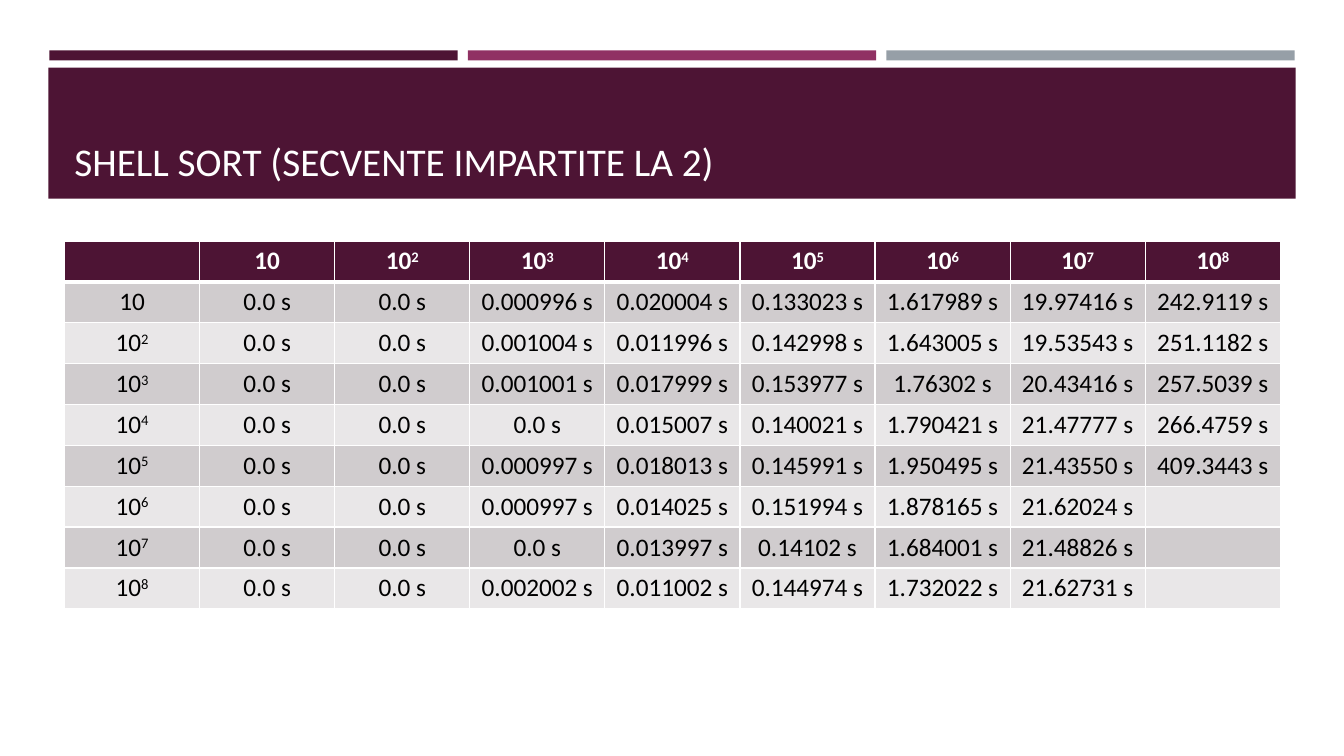
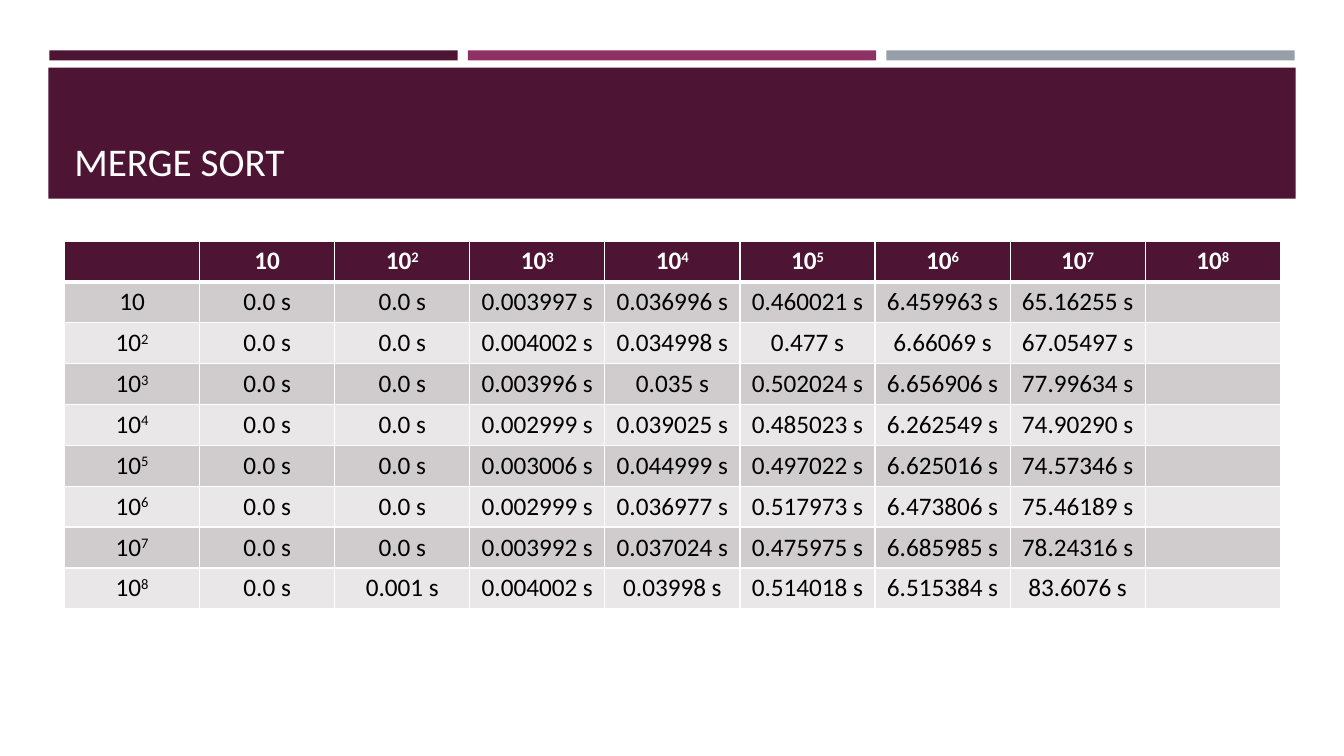
from lxml import etree
from pptx import Presentation
from pptx.dml.color import RGBColor
from pptx.enum.shapes import MSO_SHAPE
from pptx.enum.text import MSO_ANCHOR, PP_ALIGN
from pptx.oxml.ns import qn
from pptx.util import Inches, Pt

RECT = MSO_SHAPE.RECTANGLE
BOTTOM = MSO_ANCHOR.BOTTOM
CENTER = PP_ALIGN.CENTER

FONT = "Calibri"
WHITE, BLACK = "FFFFFF", "000000"
PLUM, MAGENTA, GREY = "4D1434", "903163", "969FA7"
BANDS = ("D0CCCE", "E9E7E8")

# Exponents of ten, used for both the column and the row headings
EXPONENTS = range(1, 9)

# Seconds, one row per row heading; missing trailing values stay blank
SLIDES = [
    ("SHELL SORT (SECVENTE IMPARTITE LA 2)", [
        ("0.0", "0.0", "0.000996", "0.020004", "0.133023", "1.617989", "19.97416", "242.9119"),
        ("0.0", "0.0", "0.001004", "0.011996", "0.142998", "1.643005", "19.53543", "251.1182"),
        ("0.0", "0.0", "0.001001", "0.017999", "0.153977", "1.76302", "20.43416", "257.5039"),
        ("0.0", "0.0", "0.0", "0.015007", "0.140021", "1.790421", "21.47777", "266.4759"),
        ("0.0", "0.0", "0.000997", "0.018013", "0.145991", "1.950495", "21.43550", "409.3443"),
        ("0.0", "0.0", "0.000997", "0.014025", "0.151994", "1.878165", "21.62024"),
        ("0.0", "0.0", "0.0", "0.013997", "0.14102", "1.684001", "21.48826"),
        ("0.0", "0.0", "0.002002", "0.011002", "0.144974", "1.732022", "21.62731"),
    ]),
    ("MERGE SORT", [
        ("0.0", "0.0", "0.003997", "0.036996", "0.460021", "6.459963", "65.16255"),
        ("0.0", "0.0", "0.004002", "0.034998", "0.477", "6.66069", "67.05497"),
        ("0.0", "0.0", "0.003996", "0.035", "0.502024", "6.656906", "77.99634"),
        ("0.0", "0.0", "0.002999", "0.039025", "0.485023", "6.262549", "74.90290"),
        ("0.0", "0.0", "0.003006", "0.044999", "0.497022", "6.625016", "74.57346"),
        ("0.0", "0.0", "0.002999", "0.036977", "0.517973", "6.473806", "75.46189"),
        ("0.0", "0.0", "0.003992", "0.037024", "0.475975", "6.685985", "78.24316"),
        ("0.0", "0.001", "0.004002", "0.03998", "0.514018", "6.515384", "83.6076"),
    ]),
]


def rgb(color):
    return RGBColor.from_string(color)


def add_run(p, text, size, color, bold=False):
    r = p.add_run()
    r.text = text
    r.font.name, r.font.size, r.font.bold = FONT, Pt(size), bold
    r.font.color.rgb = rgb(color)
    return r


def add_bar(s, left, top, width, height, color):
    bar = s.shapes.add_shape(RECT, Inches(left), Inches(top), Inches(width), Inches(height))
    bar.shadow.inherit = False
    bar.fill.solid()
    bar.fill.fore_color.rgb = rgb(color)
    bar.line.fill.background()


def add_title_band(s, title):
    for i, color in enumerate((PLUM, MAGENTA, GREY)):
        add_bar(s, 0.49 + i * 4.15, 0.5, 4.05, 0.1, color)
    add_bar(s, 0.48, 0.67, 12.37, 1.3, PLUM)
    tf = s.shapes.add_textbox(Inches(0.64), Inches(0.77), Inches(12.06), Inches(1.11)).text_frame
    tf.word_wrap = True
    tf.vertical_anchor = BOTTOM
    add_run(tf.paragraphs[0], title, 28, WHITE)


def set_borders(cell, top, bottom):
    """Give the cell white borders; top and bottom are widths in points."""
    tc_pr = cell._tc.get_or_add_tcPr()
    for side, width in (("L", 1), ("R", 1), ("T", top), ("B", bottom)):
        ln = etree.SubElement(tc_pr, qn("a:ln" + side), w=str(Pt(width)))
        fill = etree.SubElement(ln, qn("a:solidFill"))
        etree.SubElement(fill, qn("a:srgbClr"), val=WHITE)


def write_power(p, exponent, color, bold):
    add_run(p, "10", 18, color, bold)
    if exponent > 1:
        r = add_run(p, str(exponent), 18, color, bold)
        r._r.get_or_add_rPr().set("baseline", "30000")


def add_timing_table(s, timings):
    count = len(EXPONENTS) + 1
    width, height = Inches(12.06), Inches(3.65)
    table = s.shapes.add_table(count, count, Inches(0.64), Inches(2.39), width, height).table
    table.horz_banding = False
    for row in range(count):
        header = row == 0
        color = WHITE if header else BLACK
        for col in range(count):
            cell = table.cell(row, col)
            set_borders(cell, 3 if row == 1 else 1, 3 if header else 1)
            cell.fill.solid()
            cell.fill.fore_color.rgb = rgb(PLUM if header else BANDS[(row - 1) % 2])
            p = cell.text_frame.paragraphs[0]
            p.alignment = CENTER
            if header and col == 0:
                continue
            if header or col == 0:
                write_power(p, EXPONENTS[max(row, col) - 1], color, header)
            elif col <= len(timings[row - 1]):
                add_run(p, timings[row - 1][col - 1] + " s", 18, color)


def main():
    prs = Presentation()
    prs.slide_width, prs.slide_height = Inches(13.33), Inches(7.5)
    for title, timings in SLIDES:
        s = prs.slides.add_slide(prs.slide_layouts[6])
        add_title_band(s, title)
        add_timing_table(s, timings)
    prs.save("out.pptx")


if __name__ == "__main__":
    main()
